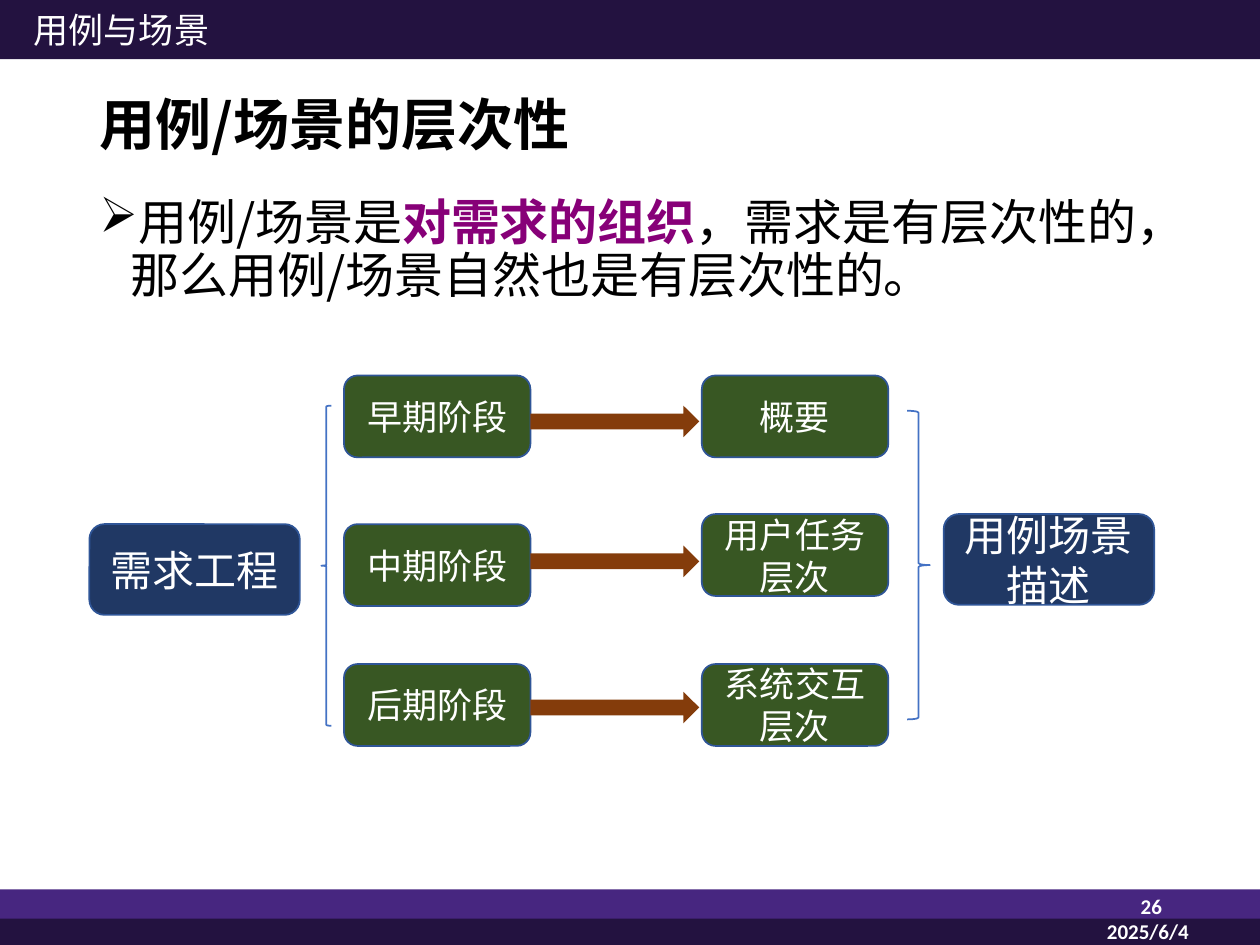
from lxml.etree import SubElement
from pptx import Presentation
from pptx.dml.color import RGBColor
from pptx.enum.shapes import MSO_SHAPE
from pptx.enum.text import MSO_ANCHOR, PP_ALIGN
from pptx.oxml.ns import qn
from pptx.util import Inches, Pt

COLORS = {
    "band": "231240", "strip": "472680", "white": "FFFFFF", "black": "000000",
    "accent": "870078", "end": "203864", "stage": "385723", "edge": "2F5597",
    "brace": "4472C4", "arrow": "843C0B",
}
CJK = "Noto Sans CJK SC"

BANDS = [
    ((0, 7.06, 10, 0.24), "strip"),
    ((0, 7.29, 10, 0.22), "band"),
    ((0, 0, 10, 0.47), "band"),
]
SECTION = "用例与场景"
TITLE = "用例/场景的层次性"
STATEMENT = [
    ("用例/场景是", "black", False),
    ("对需求的组织", "accent", True),
    ("，需求是有层次性的，那么用例/场景自然也是有层次性的。", "black", False),
]
PAGE, DATE = "26", "2025/6/4"

ENDS = [("需求工程", 0.71, 4.16), ("用例场景描述", 7.49, 4.08)]
END_SIZE = (1.67, 0.72)
STAGES = [
    ("早期阶段", 2.98, "概要", 2.98, 3.22),
    ("中期阶段", 4.16, "用户任务层次", 4.08, 4.33),
    ("后期阶段", 5.27, "系统交互层次", 5.27, 5.49),
]
STAGE_SIZE = (1.48, 0.65)
STAGE_LEFT, LEVEL_LEFT = 2.73, 5.57
ARROW_SIZE = (1.34, 0.25)
BRACES = [
    (MSO_SHAPE.LEFT_BRACE, (2.55, 3.22, 0.08, 2.54)),
    (MSO_SHAPE.RIGHT_BRACE, (7.2, 3.26, 0.18, 2.45)),
]


def color(name):
    return RGBColor.from_string(COLORS[name])


def write(holder, text, *, size, tone="white", bold=False, font=CJK,
          align=PP_ALIGN.LEFT, anchor=MSO_ANCHOR.TOP, wrap=True,
          spacing=None, bullet=None):
    frame = holder.text_frame
    frame.word_wrap = wrap
    frame.vertical_anchor = anchor
    paragraph = frame.paragraphs[0]
    if bullet:
        props = paragraph._p.get_or_add_pPr()
        props.set("marL", str(Inches(0.25)))
        props.set("indent", str(Inches(-0.25)))
        SubElement(props, qn("a:buChar")).set("char", bullet)
    paragraph.alignment = align
    if spacing:
        paragraph.line_spacing = spacing
    runs = [(text, tone, bold)] if isinstance(text, str) else text
    for words, run_tone, run_bold in runs:
        run = paragraph.add_run()
        run.text = words
        run.font.size = Pt(size)
        run.font.bold = run_bold
        run.font.color.rgb = color(run_tone)
        run.font.name = font
        SubElement(run._r.get_or_add_rPr(), qn("a:ea")).set("typeface", font)


def add_shape(slide, kind, box, fill=None, line=None):
    shape = slide.shapes.add_shape(kind, *map(Inches, box))
    shape.shadow.inherit = False
    if fill:
        shape.fill.solid()
        shape.fill.fore_color.rgb = color(fill)
    else:
        shape.fill.background()
    if line:
        shape.line.color.rgb = color(line)
        shape.line.width = Pt(1)
    else:
        shape.line.fill.background()
    return shape


def add_text(slide, box, text, **style):
    write(slide.shapes.add_textbox(*map(Inches, box)), text, **style)


def add_node(slide, text, box, fill, size):
    node = add_shape(slide, MSO_SHAPE.ROUNDED_RECTANGLE, box, fill, "edge")
    write(node, text, size=size, align=PP_ALIGN.CENTER, anchor=MSO_ANCHOR.MIDDLE)


def main():
    deck = Presentation()
    deck.slide_width, deck.slide_height = Inches(10), Inches(7.5)
    slide = deck.slides.add_slide(deck.slide_layouts[6])

    for box, fill in BANDS:
        add_shape(slide, MSO_SHAPE.RECTANGLE, box, fill)
    footer = {"size": 12, "bold": True, "font": "Calibri"}
    add_text(slide, (8.67, 7.04, 0.65, 0.6), PAGE, align=PP_ALIGN.RIGHT, **footer)
    add_text(slide, (8.54, 7.24, 1.14, 0.4), DATE, align=PP_ALIGN.CENTER, **footer)
    add_text(slide, (0.69, 0.65, 8.62, 0.72), TITLE, size=32, tone="black",
             bold=True, anchor=MSO_ANCHOR.MIDDLE, spacing=0.9)
    add_text(slide, (0.69, 1.52, 8.62, 5.21), STATEMENT, size=28,
             spacing=0.9, bullet="➢")
    add_text(slide, (0.17, 0.02, 1.59, 0.44), SECTION, size=20, wrap=False)

    for text, left, top in ENDS:
        add_node(slide, text, (left, top, *END_SIZE), "end", 24)
    for stage, stage_top, level, level_top, arrow_top in STAGES:
        add_node(slide, stage, (STAGE_LEFT, stage_top, *STAGE_SIZE), "stage", 20)
        add_node(slide, level, (LEVEL_LEFT, level_top, *STAGE_SIZE), "stage", 20)
        arrow_left = STAGE_LEFT + STAGE_SIZE[0]
        add_shape(slide, MSO_SHAPE.RIGHT_ARROW,
                  (arrow_left, arrow_top, *ARROW_SIZE), "arrow")
    for kind, box in BRACES:
        add_shape(slide, kind, box, line="brace")

    deck.save("out.pptx")


if __name__ == "__main__":
    main()
